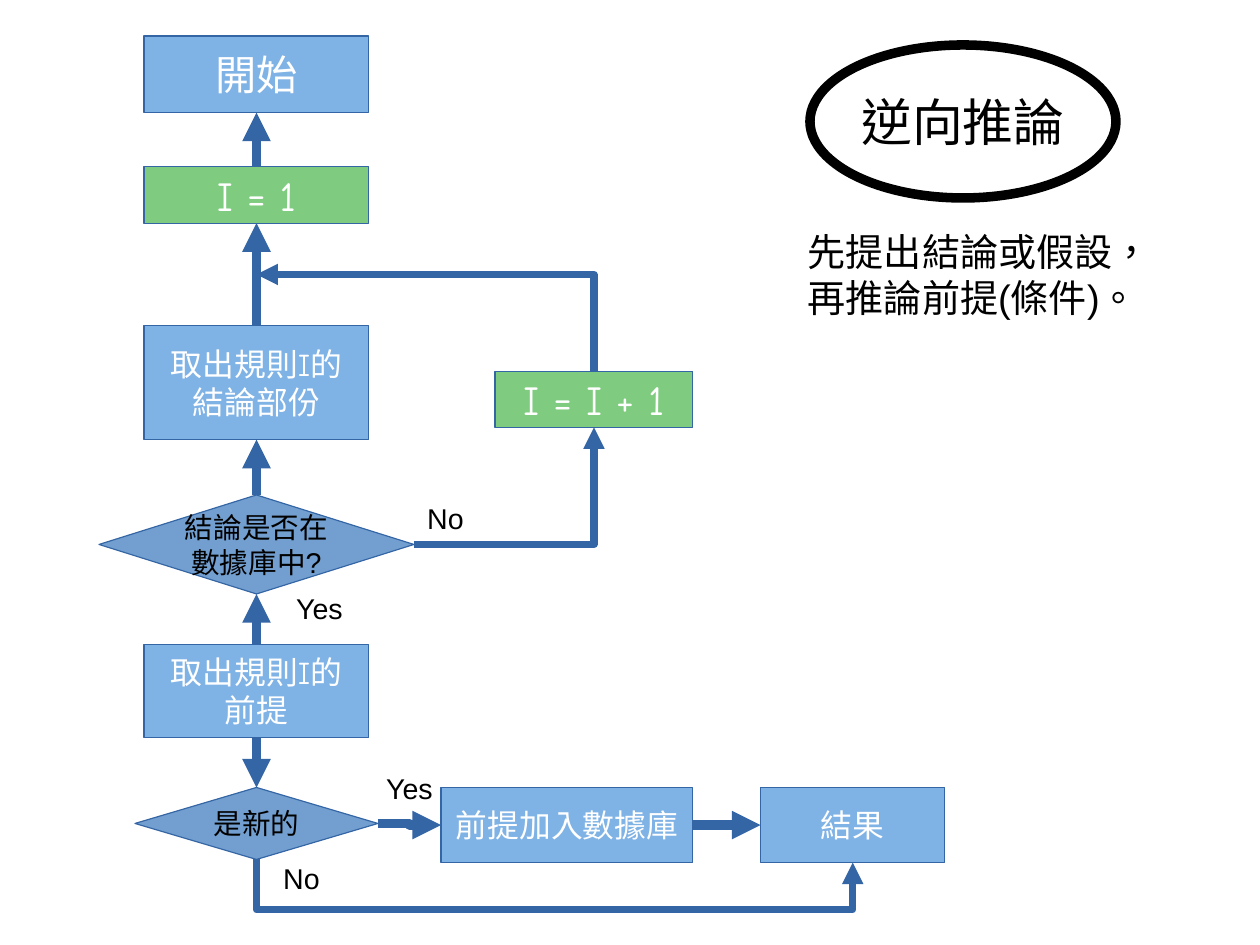
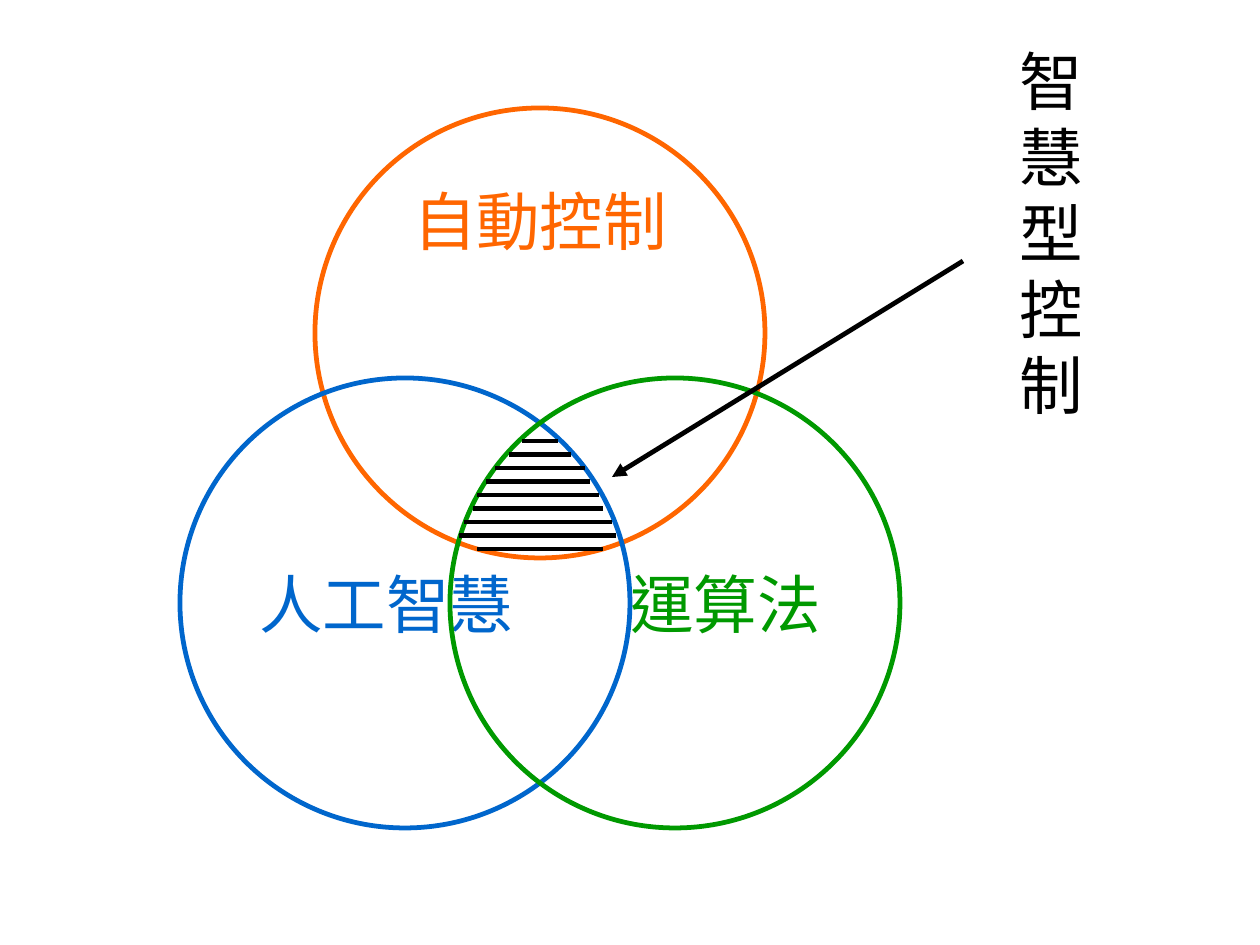
"""Two slides on a 280 by 210 grid of millimetres: a backward-chaining flow chart and a Venn diagram."""
from lxml import etree
from pptx import Presentation
from pptx import util as u
from pptx.dml.color import RGBColor
from pptx.enum import shapes, text
from pptx.oxml.ns import qn


class Theme:
    ink, white = "000000", "FFFFFF"
    blue, green, orange = "0066CC", "009900", "FF6600"
    edge, gem = "3465A4", "729FCF"
    note, body, lead, step, head, big = 18, 20, 24, 26, 32, 40
    main, code = "Arial", "Comic Neue"
    thin, mid, bold = 3, 4.5, 6


Kind, Join = shapes.MSO_SHAPE, shapes.MSO_CONNECTOR
Side, Hold = text.PP_ALIGN, text.MSO_ANCHOR


def write(shape, words, size, tint=Theme.ink, side=Side.CENTER, hold=Hold.MIDDLE, wrap=False, pad=(2.54, 1.27)):
    """Fill a shape with lines of text; parts between bars take the code font."""
    frame = shape.text_frame
    frame.word_wrap, frame.vertical_anchor = wrap, hold
    frame.margin_left = frame.margin_right = u.Mm(pad[0])
    frame.margin_top = frame.margin_bottom = u.Mm(pad[1])
    for row, line in enumerate(words.split("\n")):
        para = frame.paragraphs[0] if row == 0 else frame.add_paragraph()
        para.alignment = side
        for part, piece in enumerate(line.split("|")):
            if not piece:
                continue
            run = para.add_run()
            run.text = piece
            font = run.font
            font.size, font.name = u.Pt(size), Theme.code if part % 2 else Theme.main
            font.color.rgb = RGBColor.from_string(tint)
            props = run._r.get_or_add_rPr()
            props.set("lang", "zh-TW")
            etree.SubElement(props, qn("a:ea"), typeface=Theme.main)


def link(slide, ends, width, tint=Theme.edge, join=Join.STRAIGHT, tip=None):
    """Draw a line between two grid points, with an arrow at the named end."""
    wire = slide.shapes.add_connector(join, *map(u.Mm, ends))
    wire.line.width, wire.line.color.rgb = u.Pt(width), RGBColor.from_string(tint)
    if tip:
        etree.SubElement(wire.line._get_or_add_ln(), qn("a:" + tip), type="triangle")
    etree.SubElement(wire._element.spPr, qn("a:effectLst"))
    return wire


deck = Presentation()
deck.slide_width, deck.slide_height = u.Mm(280), u.Mm(210)
flow, venn = [deck.slides.add_slide(deck.slide_layouts[6]) for _ in range(2)]

mid = 57
low = 183.35
steps = [
    (Kind.RECTANGLE, (32, 8, 50, 17), Theme.blue, "開始", Theme.step),
    (Kind.RECTANGLE, (32, 37, 50, 12.6), Theme.green, "|I = 1|", Theme.step),
    (Kind.RECTANGLE, (32, 72.3, 50, 25.4), Theme.blue, "取出規則|I|的\n結論部份", Theme.body),
    (Kind.RECTANGLE, (32, 143.2, 50, 20.8), Theme.blue, "取出規則|I|的\n前提", Theme.body),
    (Kind.RECTANGLE, (110, 82.5, 44, 12.5), Theme.green, "|I = I + 1|", Theme.step),
    (Kind.RECTANGLE, (98, 175, 56, 16.7), Theme.blue, "前提加入數據庫", Theme.body),
    (Kind.RECTANGLE, (169, 175, 41, 16.7), Theme.blue, "結果", Theme.body),
    (Kind.DIAMOND, (22, 110, 70, 22), Theme.gem, "結論是否在\n數據庫中?", Theme.note),
    (Kind.DIAMOND, (30, 175, 54, 16), Theme.gem, "是新的", Theme.note),
]
for kind, place, tint, words, size in steps:
    node = flow.shapes.add_shape(kind, *map(u.Mm, place))
    node.shadow.inherit = False
    node.fill.solid()
    node.fill.fore_color.rgb = RGBColor.from_string(tint)
    node.line.color.rgb, node.line.width = RGBColor.from_string(Theme.edge), 0
    plain = kind == Kind.DIAMOND
    if not plain:
        shade = node._element.spPr.find(qn("a:solidFill"))[0]
        etree.SubElement(shade, qn("a:alpha"), val="50000")
    write(node, words, size, Theme.ink if plain else Theme.white)

for start, stop in [(37, 25), (72.3, 49.6), (110, 97.7), (143.2, 132), (164, 175)]:
    link(flow, (mid, start, mid, stop), Theme.bold, tip="tailEnd")
link(flow, (84, 183, 98, low), Theme.bold, join=Join.ELBOW, tip="tailEnd")
link(flow, (154, low, 169, low), Theme.bold, tip="tailEnd")

for ends, tip in [((mid, 61, 132, 82.5), "headEnd"), ((92, 121, 132, 95), "tailEnd")]:
    bend = link(flow, ends, Theme.mid, join=Join.ELBOW, tip=tip)
    bend._element.spPr.find(qn("a:prstGeom")).set("prst", "bentConnector2")

goal = 189.5
span, drop, dip = goal - mid, 0.7, 11.2
axis, base = (mid + goal) / 2, 191.35
loop = link(flow, (axis + drop / 2, base - span / 2, axis - drop / 2, base + span / 2),
            Theme.mid, join=Join.ELBOW, tip="tailEnd")
loop._element.spPr.find(qn("a:xfrm")).set("rot", str(270 * 60000))
guides = loop._element.spPr.find(qn("a:prstGeom")).get_or_add_avLst()
etree.SubElement(guides, qn("a:gd"), name="adj1", fmla=f"val {round(dip / drop * 100000)}")

notes = [
    (flow, (92, 110, 14, 9.6), "No", Theme.note, Side.CENTER),
    (flow, (62, 130, 18, 9.6), "Yes", Theme.note, Side.CENTER),
    (flow, (82, 170, 18, 9.6), "Yes", Theme.note, Side.CENTER),
    (flow, (60, 190, 14, 9.6), "No", Theme.note, Side.CENTER),
    (flow, (177, 49.6, 88, 27), "先提出結論或假設，\n再推論前提(條件)。", Theme.lead, Side.LEFT),
    (venn, (224, 8, 20, 104.4), "智慧型控制", Theme.big, Side.LEFT),
]
for slide, place, words, size, side in notes:
    label = slide.shapes.add_textbox(*map(u.Mm, place))
    write(label, words, size, side=side, hold=Hold.TOP, wrap=True)
    label.text_frame.auto_size = text.MSO_AUTO_SIZE.SHAPE_TO_FIT_TEXT

rings = [
    (flow, (180, 10, 68, 34), Theme.ink, Theme.bold, "逆向推論", Theme.head, Side.CENTER, Hold.MIDDLE, (3.5, 2.3)),
    (venn, (70, 24, 100, 100), Theme.orange, Theme.thin, "自動控制", Theme.big, Side.CENTER, Hold.TOP, (3, 1.8)),
    (venn, (40, 84, 100, 100), Theme.blue, Theme.thin, "人工智慧", Theme.big, Side.LEFT, Hold.MIDDLE, (3, 1.8)),
    (venn, (100, 84, 100, 100), Theme.green, Theme.thin, "運算法", Theme.big, Side.RIGHT, Hold.MIDDLE, (3, 1.8)),
]
for slide, place, tint, width, words, size, side, hold, pad in rings:
    ring = slide.shapes.add_shape(Kind.OVAL, *map(u.Mm, place))
    ring.shadow.inherit = False
    ring.fill.background()
    ring.line.color.rgb, ring.line.width = RGBColor.from_string(tint), u.Pt(width)
    write(ring, words, size, tint, side, hold, pad=pad)

hatch = [
    (116,), (113, 119), (110, 117, 122), (123, 115, 108), (108, 115, 106, 122, 125),
    (126, 118, 109, 105, 116), (103, 110, 118, 123, 128),
    (129, 121, 116, 107, 114, 102), (106, 115, 121, 126, 107),
]
for row, starts in enumerate(hatch):
    for left in starts:
        level = 98 + 3 * row
        link(venn, (left + 8, level, left, level), Theme.thin, Theme.ink)
link(venn, (136, 106, 214, 58), Theme.thin, Theme.ink, tip="headEnd")

deck.save("out.pptx")
